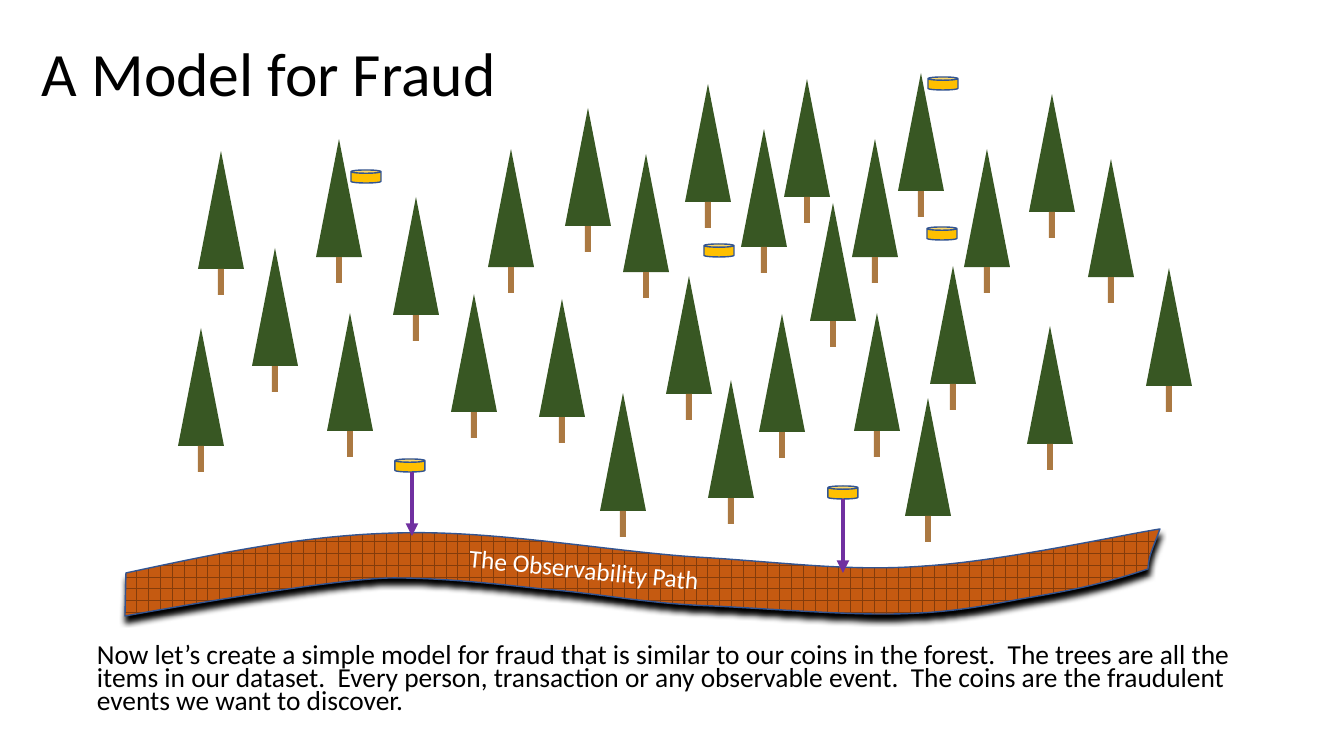
from dataclasses import dataclass

from lxml import etree
from pptx import Presentation
from pptx import util as u
from pptx.dml.color import RGBColor
from pptx.enum import dml, shapes, text
from pptx.oxml import ns

PIXEL = 914400 / 100.8
FONT = "Calibri"
COLOURS = {
    "text": "000000", "label": "FFFFFF", "needles": "385723", "trunk": "AB7942",
    "coin": "FFC000", "outline": "325491", "arrow": "7030A0",
    "path_brick": "C55A11", "path_joint": "843C0B", "shadow": "000000",
}


@dataclass(frozen=True)
class Box:
    left: int
    top: int
    width: int
    height: int


@dataclass(frozen=True)
class Spot:
    left: int
    top: int


@dataclass(frozen=True)
class Arrow:
    x: int
    start: int
    end: int


@dataclass(frozen=True)
class Words:
    wording: str
    box: Box
    size: float
    colour: str = "text"
    anchor: text.MSO_ANCHOR = text.MSO_ANCHOR.TOP
    spacing: float = 1.0
    before: int = 0
    wrap: bool = True
    rotation: float = 0


def px(pixels: int) -> u.Emu:
    return u.Emu(round(pixels * PIXEL))


def rgb(name: str) -> RGBColor:
    return RGBColor.from_string(COLOURS[name])


def add_filled(parent, kind: shapes.MSO_SHAPE, box: Box, fill: str, outline: str = ""):
    shape = parent.add_shape(kind, px(box.left), px(box.top), px(box.width), px(box.height))
    shape.shadow.inherit = False
    shape.fill.solid()
    shape.fill.fore_color.rgb = rgb(fill)
    if outline:
        shape.line.color.rgb = rgb(outline)
        shape.line.width = u.Pt(1)
    else:
        shape.line.fill.background()
    return shape


def add_tree(slide, tree: Spot) -> None:
    group = slide.shapes.add_group_shape()
    add_filled(group.shapes, shapes.MSO_SHAPE.ISOSCELES_TRIANGLE,
               Box(tree.left, tree.top, 46, 118), "needles")
    add_filled(group.shapes, shapes.MSO_SHAPE.RECTANGLE,
               Box(tree.left + 20, tree.top + 118, 6, 26), "trunk")


def add_coin(slide, coin: Spot) -> None:
    add_filled(slide.shapes, shapes.MSO_SHAPE.CAN,
               Box(coin.left, coin.top, 30, 13), "coin", "outline")


def add_arrow(slide, arrow: Arrow) -> None:
    line = slide.shapes.add_connector(shapes.MSO_CONNECTOR.STRAIGHT, px(arrow.x),
                                      px(arrow.start), px(arrow.x), px(arrow.end))
    line.line.color.rgb = rgb("arrow")
    line.line.width = u.Pt(3)
    properties = line._element.spPr
    etree.SubElement(properties.find(ns.qn("a:ln")), ns.qn("a:tailEnd"), type="triangle")
    etree.SubElement(properties, ns.qn("a:effectLst"))


def add_words(slide, words: Words) -> None:
    box = words.box
    holder = slide.shapes.add_textbox(px(box.left), px(box.top), px(box.width), px(box.height))
    holder.rotation = words.rotation
    frame = holder.text_frame
    frame.word_wrap = words.wrap
    frame.vertical_anchor = words.anchor
    paragraph = frame.paragraphs[0]
    paragraph.text = words.wording
    paragraph.line_spacing = words.spacing
    paragraph.space_before = u.Pt(words.before)
    paragraph.font.name = FONT
    paragraph.font.size = u.Pt(words.size)
    paragraph.font.color.rgb = rgb(words.colour)


def bend_segments(band) -> None:
    """Turn every three straight segments into one cubic curve."""
    segments = list(band._element.spPr.iter(ns.qn("a:lnTo")))
    for first in range(0, len(segments), 3):
        triple = segments[first:first + 3]
        curve = etree.Element(ns.qn("a:cubicBezTo"))
        triple[0].addprevious(curve)
        for segment in triple:
            curve.append(segment[0])
            segment.getparent().remove(segment)


def add_observability_path(slide, knots: list[tuple[int, int]]) -> None:
    start, *rest = [(px(x), px(y)) for x, y in knots]
    builder = slide.shapes.build_freeform(*start)
    builder.add_line_segments(rest, close=True)
    band = builder.convert_to_shape()
    bend_segments(band)
    band.fill.patterned()
    band.fill.pattern = dml.MSO_PATTERN.HORIZONTAL_BRICK
    band.fill.fore_color.rgb = rgb("path_joint")
    band.fill.back_color.rgb = rgb("path_brick")
    band.line.color.rgb = rgb("outline")
    band.line.width = u.Pt(1)
    band.shadow.inherit = False
    effects = band._element.spPr.find(ns.qn("a:effectLst"))
    shadow = etree.SubElement(effects, ns.qn("a:outerShdw"), blurRad=str(u.Pt(4)),
                              dist=str(u.Pt(4)), dir=str(90 * 60000), rotWithShape="0")
    etree.SubElement(shadow, ns.qn("a:srgbClr"), val=COLOURS["shadow"])


TITLE = Words("A Model for Fraud", Box(32, 4, 1159, 146), 44,
              anchor=text.MSO_ANCHOR.MIDDLE, spacing=0.9)
EXPLANATION = Words(
    "Now let’s create a simple model for fraud that is similar to our coins in the forest.  "
    "The trees are all the items in our dataset.  Every person, transaction or any observable "
    "event.  The coins are the fraudulent events we want to discover.",
    Box(87, 641, 1159, 83), 19.6, spacing=0.7, before=10)
PATH_LABEL = Words("The Observability Path", Box(459, 549, 253, 40), 18, "label",
                   wrap=False, rotation=5.6)

# Start of the path, then two controls and an end for each curve
PATH_KNOTS = [
    (126, 573), (215, 554), (303, 535), (398, 533), (493, 530), (607, 551), (695, 557),
    (783, 562), (848, 572), (925, 566), (1003, 561), (1116, 536), (1160, 529),
    (1152, 551), (1149, 555), (1148, 569), (1101, 585), (1063, 592), (1021, 599),
    (979, 607), (947, 613), (895, 614), (844, 615), (773, 609), (713, 606),
    (651, 604), (608, 595), (554, 590), (528, 588), (457, 578), (394, 578),
    (331, 578), (126, 616), (125, 616),
]
FOREST = [Spot(*place) for place in (
    (178, 328), (252, 248), (198, 151), (327, 313), (393, 197), (316, 139), (488, 149),
    (451, 294), (623, 154), (539, 299), (759, 314), (852, 139), (741, 129), (666, 276),
    (854, 313), (964, 149), (930, 266), (1027, 326), (1088, 159), (1146, 268), (1029, 94),
    (898, 73), (784, 79), (810, 203), (685, 84), (565, 108))]
FRONT_TREES = [Spot(708, 380), Spot(905, 398), Spot(600, 393)]
COINS = [Spot(704, 244), Spot(828, 486), Spot(395, 459),
         Spot(927, 227), Spot(351, 170), Spot(928, 77)]
ARROWS = [Arrow(412, 472, 536), Arrow(843, 499, 573)]

presentation = Presentation()
presentation.slide_width, presentation.slide_height = px(1344), px(756)
fraud_model = presentation.slides.add_slide(presentation.slide_layouts[6])

# Title and explanation
add_words(fraud_model, TITLE)
add_words(fraud_model, EXPLANATION)

# Path, forest and coins, back to front
add_observability_path(fraud_model, PATH_KNOTS)
for tree in FOREST:
    add_tree(fraud_model, tree)
for coin in COINS:
    add_coin(fraud_model, coin)
for arrow in ARROWS:
    add_arrow(fraud_model, arrow)
for tree in FRONT_TREES:
    add_tree(fraud_model, tree)
add_words(fraud_model, PATH_LABEL)

presentation.save("out.pptx")
